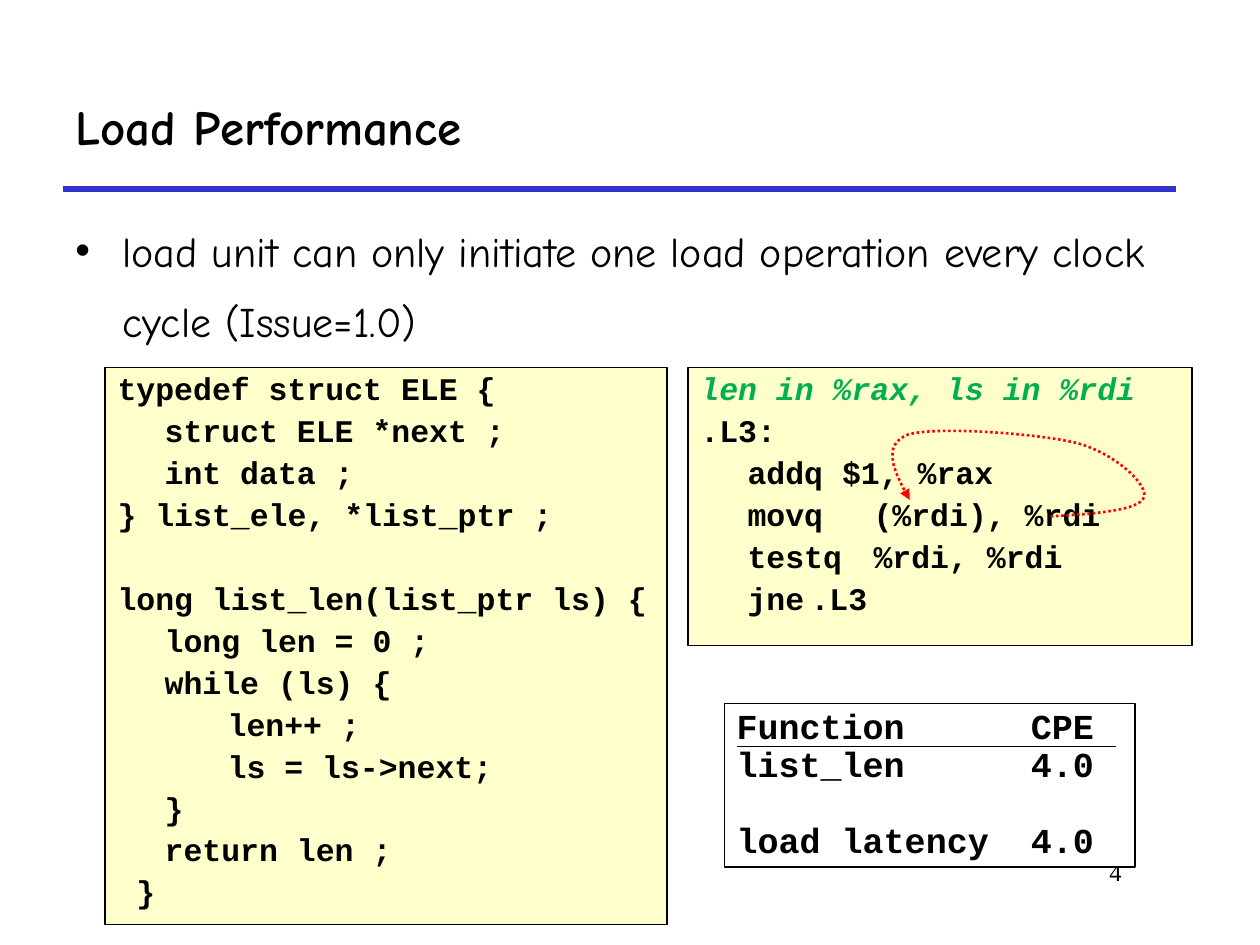
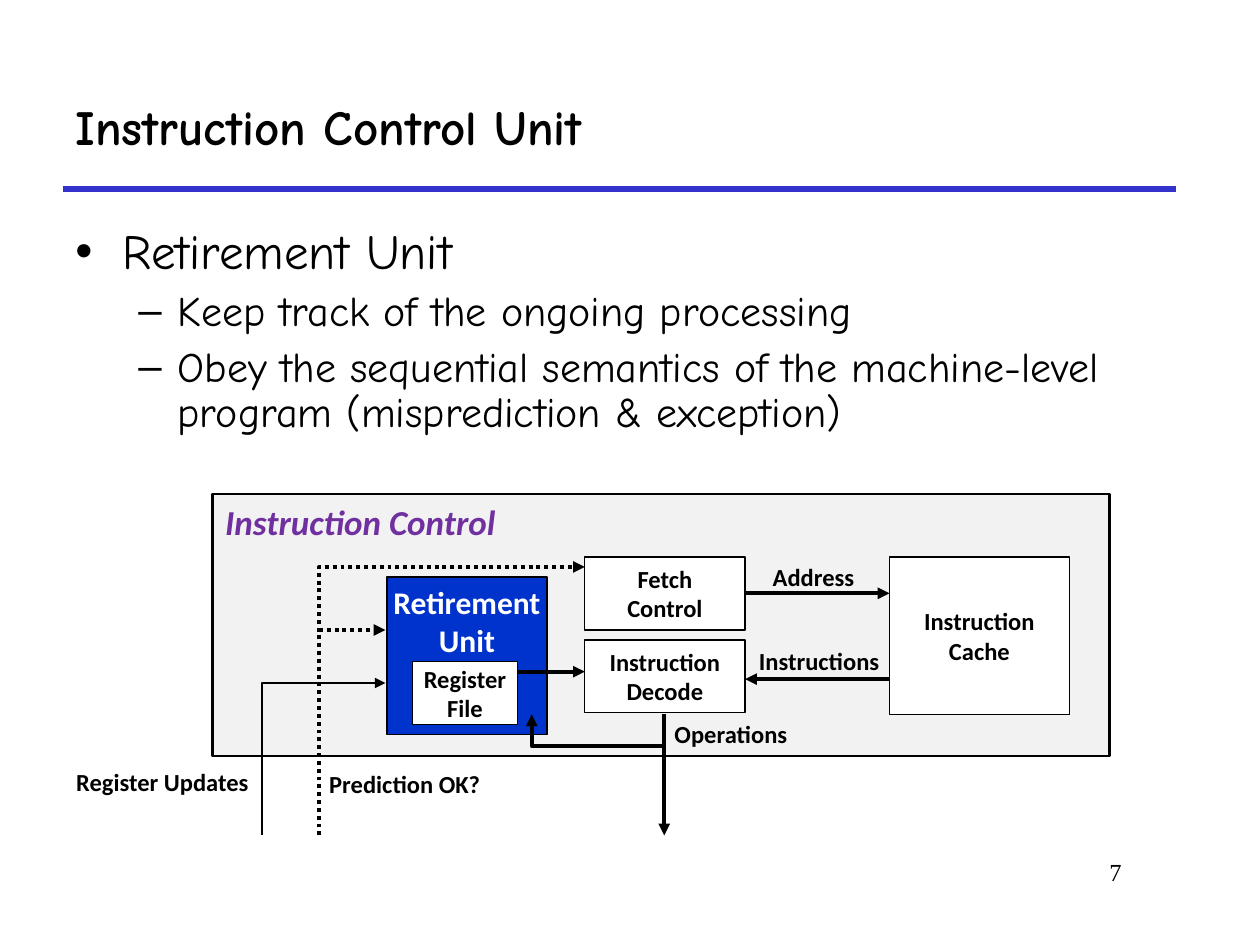
"""Build two lecture slides on load performance and the instruction control unit."""
from lxml.etree import SubElement
from pptx import Presentation
from pptx.dml.color import RGBColor
from pptx.enum.dml import MSO_LINE
from pptx.enum.shapes import MSO_CONNECTOR, MSO_SHAPE
from pptx.enum.text import MSO_ANCHOR, PP_ALIGN
from pptx.oxml.ns import qn
from pptx.util import Cm, Pt

BLACK = RGBColor(0x00, 0x00, 0x00)
WHITE = RGBColor(0xFF, 0xFF, 0xFF)
RULE_BLUE = RGBColor(0x33, 0x33, 0xCC)
CODE_YELLOW = RGBColor(0xFF, 0xFF, 0xCC)
COMMENT_GREEN = RGBColor(0x00, 0xB0, 0x50)
DEPENDENCY_RED = RGBColor(0xFF, 0x00, 0x00)
FRAME_GREY = RGBColor(0xF2, 0xF2, 0xF2)
HEADING_PURPLE = RGBColor(0x70, 0x30, 0xA0)
RETIREMENT_BLUE = RGBColor(0x00, 0x33, 0xCC)

HAND, CODE, LABEL, NUMBER = "Comic Neue", "Courier New", "Calibri", "Times New Roman"
LEFT, CENTER, RIGHT = PP_ALIGN.LEFT, PP_ALIGN.CENTER, PP_ALIGN.RIGHT
TOP, MIDDLE = MSO_ANCHOR.TOP, MSO_ANCHOR.MIDDLE


def write(slide, lines, box, fill=None, border=0.75, anchor=TOP, wrap=True, **base):
    """Place lines of text in a box; a line may be (text, format overrides)."""
    place = [Cm(length) for length in box]
    if fill is None:
        holder = slide.shapes.add_textbox(*place)
    else:
        holder = slide.shapes.add_shape(MSO_SHAPE.RECTANGLE, *place)
        holder.shadow.inherit = False
        holder.fill.solid()
        holder.fill.fore_color.rgb = fill
        holder.line.color.rgb = BLACK
        holder.line.width = Pt(border)
    frame = holder.text_frame
    frame.word_wrap = wrap
    frame.vertical_anchor = anchor
    for index, line in enumerate(lines):
        words, changes = (line, {}) if isinstance(line, str) else line
        style = base | changes
        paragraph = frame.add_paragraph() if index else frame.paragraphs[0]
        paragraph.alignment = style.get("align", LEFT)
        paragraph.line_spacing = style.get("spacing", 1.0)
        paragraph.space_before = Pt(style.get("before", 0))
        props = paragraph._p.get_or_add_pPr()
        if "indent" in style:
            margin, hanging = style["indent"]
            props.set("marL", str(Cm(margin)))
            props.set("indent", str(-Cm(hanging)))
        if "bullet" in style:
            SubElement(props, qn("a:buFont"), typeface="Arial")
            SubElement(props, qn("a:buChar"), char=style["bullet"])
        if "tabs" in style:
            stops = SubElement(props, qn("a:tabLst"))
            for stop in style["tabs"]:
                SubElement(stops, qn("a:tab"), pos=str(Cm(stop)), algn="l")
        run = paragraph.add_run()
        run.text = words
        run.font.name = style["font"]
        run.font.size = Pt(style["size"])
        run.font.bold = style.get("bold", False)
        run.font.italic = style.get("italic", False)
        run.font.color.rgb = style.get("color", BLACK)


def route(slide, points, width=2.25, color=BLACK, dotted=False, arrow=True):
    """Draw a line through the points, with an arrowhead at the last one."""
    stops = [(Cm(x), Cm(y)) for x, y in points]
    if len(stops) == 2:
        path = slide.shapes.add_connector(MSO_CONNECTOR.STRAIGHT, *stops[0], *stops[1])
    else:
        builder = slide.shapes.build_freeform(*stops[0])
        builder.add_line_segments(stops[1:], close=False)
        path = builder.convert_to_shape()
        path.fill.background()
    path.line.color.rgb = color
    path.line.width = Pt(width)
    if dotted:
        path.line.dash_style = MSO_LINE.ROUND_DOT
    if arrow:
        SubElement(path.get_or_add_ln(), qn("a:tailEnd"), type="triangle")
    SubElement(path.element.spPr, qn("a:effectLst"))


deck = Presentation()
deck.slide_width, deck.slide_height = Cm(25.4), Cm(19.05)

pages = []
for title, number in (("Load Performance", "4"), ("Instruction Control Unit", "7")):
    page = deck.slides.add_slide(deck.slide_layouts[6])
    route(page, [(1.27, 3.81), (23.7, 3.81)], width=3, color=RULE_BLUE, arrow=False)
    write(page, [number], (19.25, 17.15, 3.61, 1.27), font=NUMBER, size=14, align=RIGHT)
    write(page, [title], (1.27, 1.27, 22.43, 2.54), anchor=MIDDLE,
          font=HAND, size=28, bold=True)
    pages.append(page)
load, control = pages

write(load, ["load unit can only initiate one load operation every clock cycle (Issue=1.0)"],
      (1.27, 4.01, 22.23, 3.18), font=HAND, size=24, spacing=1.4, before=6,
      indent=(0.95, 0.95), bullet="•")

listing = dict(fill=CODE_YELLOW, font=CODE, size=18, bold=True, spacing=0.9, before=4.5,
               indent=(0.95, 0.95), tabs=(0, 2.54))
write(load, [
    "typedef struct ELE {",
    "\tstruct ELE *next ;",
    "\tint data ;",
    "} list_ele, *list_ptr ;",
    ("long list_len(list_ptr ls) {", dict(before=28.4)),
    "\tlong len = 0 ;",
    "\twhile (ls) {",
    "\t\tlen++ ;",
    "\t\tls = ls->next;",
    "\t}",
    "\treturn len ;",
    " }",
], (2.12, 7.41, 11.33, 11.23), **listing)
write(load, [
    ("len in %rax, ls in %rdi", dict(color=COMMENT_GREEN, italic=True)),
    ".L3:",
    "\taddq $1, %rax",
    "\tmovq\t(%rdi), %rdi",
    "\ttestq\t%rdi, %rdi",
    "\tjne\t.L3",
], (13.87, 7.41, 10.16, 5.61), **listing)

write(load, ["Function\tCPE", "list_len\t4.0", ("load latency\t4.0", dict(before=21.5))],
      (14.6, 14.18, 8.28, 3.3), fill=WHITE, font=CODE, size=20, bold=True,
      spacing=0.9, tabs=(5.93,))
route(load, [(14.86, 15.04), (22.5, 15.04)], width=0.25, arrow=False)

dependency = [(21.18, 10.41)]
STEPS = 16
for bend in (
    ((22.07, 10.36), (22.96, 10.29), (23.06, 10.03)),
    ((23.16, 9.8), (22.53, 9.17), (21.74, 8.94)),
    ((20.96, 8.74), (18.87, 8.59), (18.31, 8.76)),
    ((17.75, 8.97), (18.03, 9.53), (18.34, 10.08)),
):
    controls = (dependency[-1], *bend)
    for step in range(1, STEPS + 1):
        t = step / STEPS
        weights = ((1 - t) ** 3, 3 * t * (1 - t) ** 2, 3 * t * t * (1 - t), t ** 3)
        dependency.append(tuple(sum(w * point[axis] for w, point in zip(weights, controls))
                                for axis in (0, 1)))
route(load, dependency, width=1.5, color=DEPENDENCY_RED, dotted=True)

detail = dict(size=24, before=6, indent=(2.06, 0.79), bullet="–")
write(control, [
    "Retirement Unit",
    ("Keep track of the ongoing processing", detail),
    ("Obey the sequential semantics of the machine-level program "
     "(misprediction & exception)", detail),
], (1.27, 4.45, 23.06, 12.27), font=HAND, size=28, spacing=0.9, before=7,
    indent=(0.95, 0.95), bullet="•")

write(control, ["Instruction Control"], (4.29, 9.96, 18.08, 5.28), fill=FRAME_GREY, border=1.5,
      font=LABEL, size=20, bold=True, italic=True, color=HEADING_PURPLE)

diagram = dict(font=LABEL, size=14, bold=True, align=CENTER, wrap=False)
for words, box in (
    (["Instruction", "Cache"], (17.93, 11.23, 3.63, 3.18)),
    (["Fetch", "Control"], (11.79, 11.23, 3.23, 1.47)),
    (["Instruction", "Decode"], (11.79, 12.9, 3.23, 1.47)),
):
    write(control, words, box, fill=WHITE, anchor=MIDDLE, **diagram)

route(control, [(15.02, 11.96), (17.93, 11.96)])
route(control, [(17.93, 13.69), (15.02, 13.69)])
route(control, [(13.39, 14.4), (13.39, 16.84)])
route(control, [(6.43, 16.84), (6.43, 11.43), (11.79, 11.43)], dotted=True)

for words, left, top, width in (
    ("Address", 15.32, 11.2, 2.16),
    ("Instructions", 15.04, 12.9, 2.95),
    ("Operations", 13.34, 14.38, 2.79),
    ("Prediction OK?", 6.38, 15.37, 3.56),
    ("Register Updates", 1.27, 15.34, 4.01),
):
    write(control, [words], (left, top, width, 0.86), **diagram)

write(control, ["Retirement", "Unit"], (7.8, 11.63, 3.23, 3.18), fill=RETIREMENT_BLUE,
      **diagram | dict(size=18, color=WHITE))
write(control, ["Register", "File"], (8.31, 13.34, 2.13, 1.27), fill=WHITE, anchor=MIDDLE,
      **diagram)

route(control, [(6.43, 12.7), (7.77, 12.7)], dotted=True)
route(control, [(5.28, 16.84), (5.28, 13.77), (7.77, 13.77)], width=1.5)
route(control, [(10.44, 13.54), (11.79, 13.54)])
route(control, [(13.39, 15.04), (10.72, 15.04), (10.72, 14.4)])

deck.save("out.pptx")
